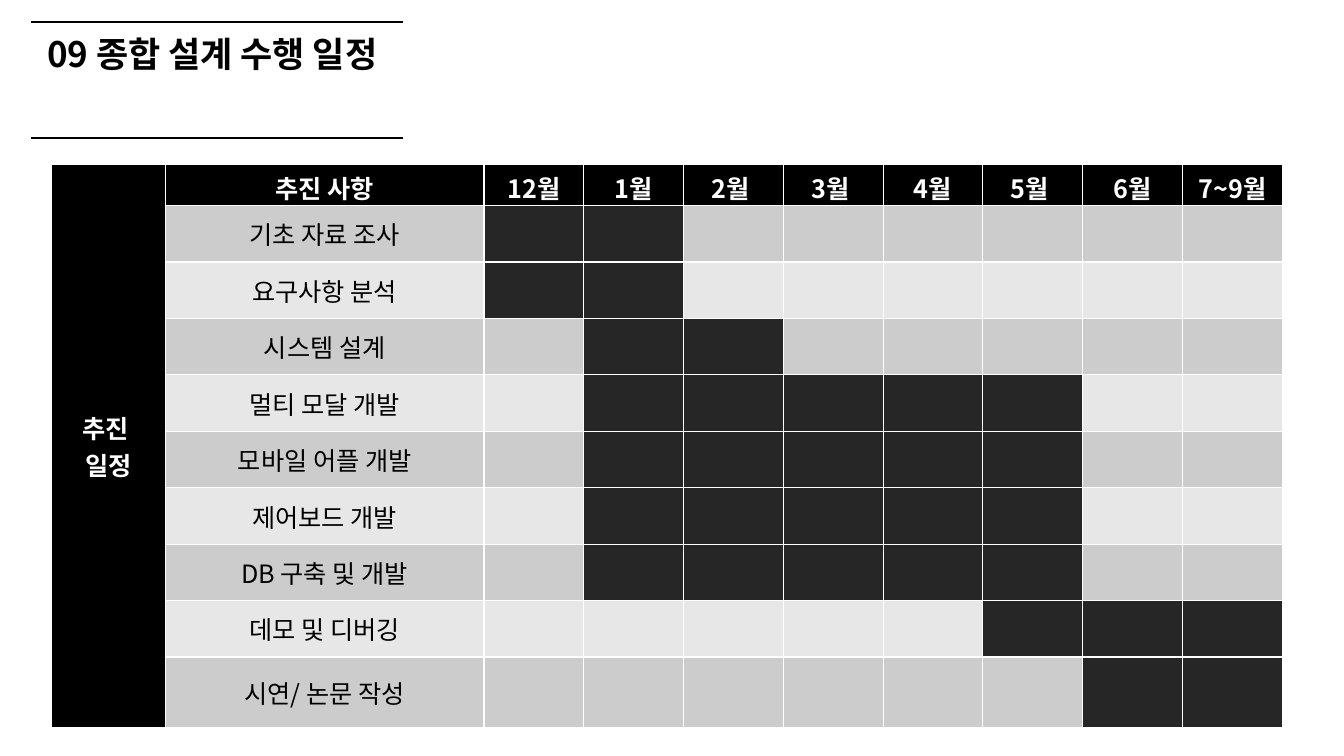
"""Build the project schedule slide with a Gantt-style table."""
from dataclasses import dataclass

import lxml.etree
import pptx
import pptx.dml.color
import pptx.enum.shapes
import pptx.enum.text
import pptx.oxml.ns
import pptx.util

Inches = pptx.util.Inches
Pt = pptx.util.Pt
RGBColor = pptx.dml.color.RGBColor
qn = pptx.oxml.ns.qn

FONT = "Noto Sans CJK KR"
BLACK = RGBColor(0x00, 0x00, 0x00)
WHITE = RGBColor(0xFF, 0xFF, 0xFF)
ACTIVE = RGBColor(0x26, 0x26, 0x26)
BANDS = (RGBColor(0xCC, 0xCC, 0xCC), RGBColor(0xE7, 0xE7, 0xE7))

MONTHS = ("12월", "1월", "2월 ", "3월 ", "4월", "5월 ", "6월", "7~9월")
COL_WIDTHS = (1.13, 3.16) + (0.99,) * len(MONTHS)
HEADER_HEIGHT, ROW_HEIGHT = 0.41, 0.56


@dataclass(frozen=True)
class Task:
    name: str
    first: int
    last: int


TASKS = (
    Task("기초 자료 조사", 0, 1),
    Task("요구사항 분석", 0, 1),
    Task("시스템 설계", 1, 2),
    Task("멀티 모달 개발", 1, 5),
    Task("모바일 어플 개발", 1, 5),
    Task("제어보드 개발", 1, 5),
    Task("DB 구축 및 개발", 1, 5),
    Task("데모 및 디버깅", 5, 7),
    Task("시연/ 논문 작성", 6, 7),
)


def write(tf: pptx.text.text.TextFrame, text: str, size: float,
          color: RGBColor, bold: bool) -> None:
    tf.text = text
    for p in tf.paragraphs:
        p.alignment = pptx.enum.text.PP_ALIGN.CENTER
        p.font.name = FONT
        p.font.size = Pt(size)
        p.font.bold = bold
        p.font.color.rgb = color
        for r in p.runs:
            ea = lxml.etree.SubElement(r.font._element, qn("a:ea"))
            ea.set("typeface", FONT)


def add_title(slide: pptx.slide.Slide) -> None:
    sp = slide.shapes.title
    sp.left, sp.top = Inches(0.2), Inches(0.27)
    sp.width, sp.height = Inches(3.81), Inches(0.52)
    tf = sp.text_frame
    tf.word_wrap = False
    tf.auto_size = pptx.enum.text.MSO_AUTO_SIZE.SHAPE_TO_FIT_TEXT
    tf.vertical_anchor = pptx.enum.text.MSO_ANCHOR.TOP
    write(tf, "09 종합 설계 수행 일정", 25, BLACK, True)


def add_rule(slide: pptx.slide.Slide, y: float) -> None:
    line = slide.shapes.add_connector(
        pptx.enum.shapes.MSO_CONNECTOR.STRAIGHT,
        Inches(0.31), Inches(y), Inches(4), Inches(y))
    line.line.color.rgb = BLACK
    line.line.width = Pt(1.5)
    lxml.etree.SubElement(line._element.spPr, qn("a:effectLst"))


def style_cell(cell: pptx.table._Cell, fill: RGBColor) -> None:
    tc_pr = cell._tc.get_or_add_tcPr()
    for side in ("L", "R", "T", "B"):
        ln = lxml.etree.SubElement(tc_pr, qn(f"a:ln{side}"), w=str(Pt(1)))
        solid = lxml.etree.SubElement(ln, qn("a:solidFill"))
        lxml.etree.SubElement(solid, qn("a:srgbClr"), val=str(WHITE))
    cell.fill.solid()
    cell.fill.fore_color.rgb = fill
    cell.vertical_anchor = pptx.enum.text.MSO_ANCHOR.MIDDLE


def add_schedule(slide: pptx.slide.Slide) -> None:
    heights = (HEADER_HEIGHT,) + (ROW_HEIGHT,) * len(TASKS)
    table = slide.shapes.add_table(
        len(heights), len(COL_WIDTHS), Inches(0.51), Inches(1.63),
        Inches(sum(COL_WIDTHS)), Inches(sum(heights))).table
    for column, width in zip(table.columns, COL_WIDTHS):
        column.width = Inches(width)
    for row, height in zip(table.rows, heights):
        row.height = Inches(height)

    for i in range(len(heights)):
        style_cell(table.cell(i, 0), BLACK)
    table.cell(0, 0).merge(table.cell(len(TASKS), 0))
    write(table.cell(0, 0).text_frame, "추진 \n일정", 18, WHITE, True)

    for j, heading in enumerate(("추진 사항",) + MONTHS, start=1):
        cell = table.cell(0, j)
        style_cell(cell, BLACK)
        write(cell.text_frame, heading, 18, WHITE, True)

    for i, task in enumerate(TASKS, start=1):
        band = BANDS[(i - 1) % 2]
        style_cell(table.cell(i, 1), band)
        write(table.cell(i, 1).text_frame, task.name, 18, BLACK, False)
        for month in range(len(MONTHS)):
            active = task.first <= month <= task.last
            style_cell(table.cell(i, month + 2), ACTIVE if active else band)


def main() -> None:
    prs = pptx.Presentation()
    prs.slide_width, prs.slide_height = Inches(13.33), Inches(7.5)
    slide = prs.slides.add_slide(prs.slide_layouts[5])
    add_title(slide)
    for y in (0.22, 1.37):
        add_rule(slide, y)
    add_schedule(slide)
    prs.save("out.pptx")


if __name__ == "__main__":
    main()
